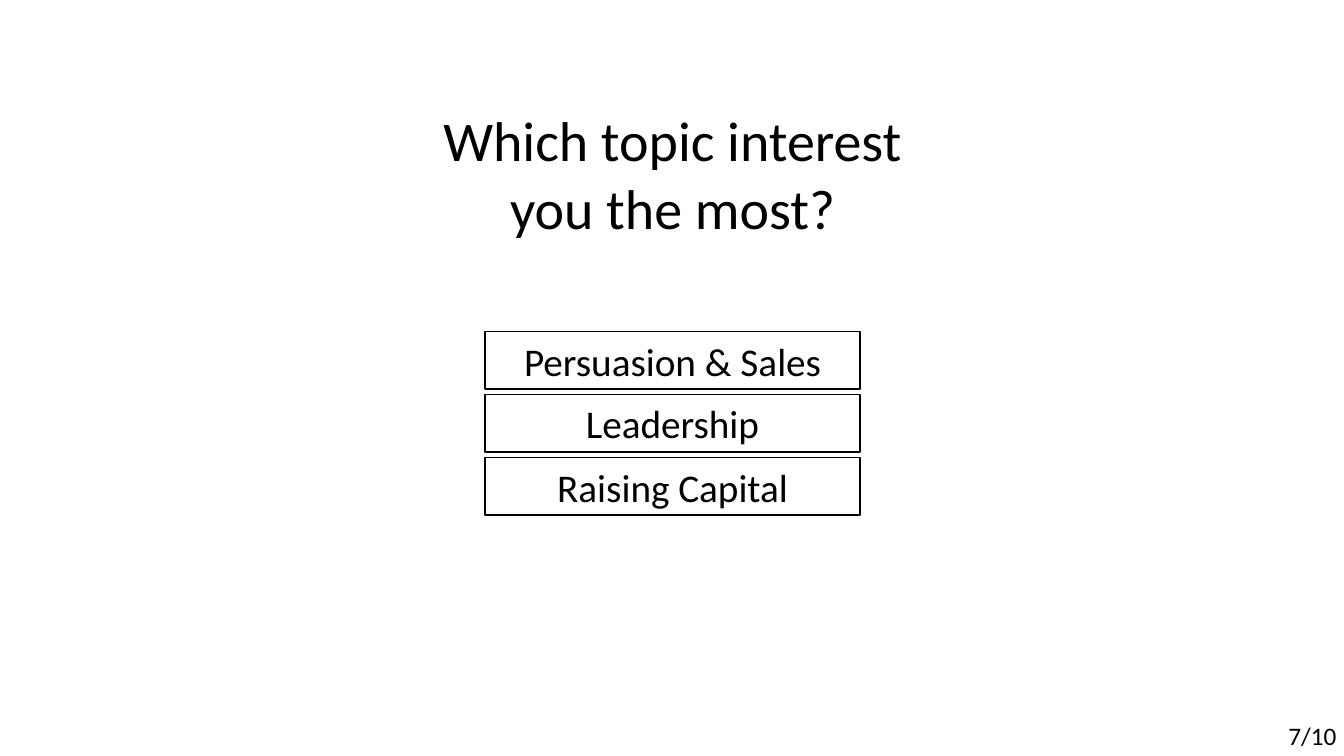
from dataclasses import dataclass

from pptx import Presentation
from pptx.dml.color import RGBColor
from pptx.enum.shapes import MSO_SHAPE
from pptx.enum.text import MSO_ANCHOR, MSO_AUTO_SIZE, PP_ALIGN
from pptx.util import Inches, Pt

RECT = MSO_SHAPE.RECTANGLE
TOP, MIDDLE = MSO_ANCHOR.TOP, MSO_ANCHOR.MIDDLE
LEFT, CENTER = PP_ALIGN.LEFT, PP_ALIGN.CENTER
GROW = MSO_AUTO_SIZE.SHAPE_TO_FIT_TEXT

QUESTION = "Which topic interest you the most?"
TOPICS = ["Persuasion & Sales", "Leadership", "Raising Capital"]
PAGE = "7/10"


@dataclass(frozen=True)
class Theme:
    font: str = "Calibri"
    ink: RGBColor = RGBColor(0, 0, 0)
    paper: RGBColor = RGBColor(255, 255, 255)
    question: int = 40
    topic: int = 28
    page: int = 18


THEME = Theme()
TOPIC_X, TOPIC_Y, TOPIC_W, TOPIC_H = 4.81, 3.29, 3.72, 0.57
TOPIC_STEP = 0.625


def write(sp, text, size, align=CENTER, anchor=TOP):
    tf = sp.text_frame
    tf.word_wrap = True
    tf.auto_size = GROW
    tf.vertical_anchor = anchor
    p = tf.paragraphs[0]
    p.alignment = align
    r = p.add_run()
    r.text = text
    r.font.name = THEME.font
    r.font.size = Pt(size)
    r.font.color.rgb = THEME.ink


prs = Presentation()
prs.slide_width, prs.slide_height = Inches(13.33), Inches(7.5)
s = prs.slides.add_slide(prs.slide_layouts[5])
s.background.fill.solid()
s.background.fill.fore_color.rgb = THEME.paper

title = s.shapes.title
title.left, title.top = Inches(3.84), Inches(1)
title.width, title.height = Inches(5.66), Inches(1.45)
write(title, QUESTION, THEME.question)

topics = s.shapes.add_group_shape()
for i, topic in enumerate(TOPICS):
    sp = topics.shapes.add_shape(
        RECT, Inches(TOPIC_X), Inches(TOPIC_Y + i * TOPIC_STEP),
        Inches(TOPIC_W), Inches(TOPIC_H))
    sp.shadow.inherit = False
    sp.fill.solid()
    sp.fill.fore_color.rgb = THEME.paper
    sp.line.color.rgb = THEME.ink
    sp.line.width = Pt(1)
    write(sp, topic, THEME.topic, anchor=MIDDLE)

page = s.shapes.add_textbox(Inches(12.68), Inches(7.1), Inches(0.9), Inches(0.4))
write(page, PAGE, THEME.page, align=LEFT)

prs.save("out.pptx")
